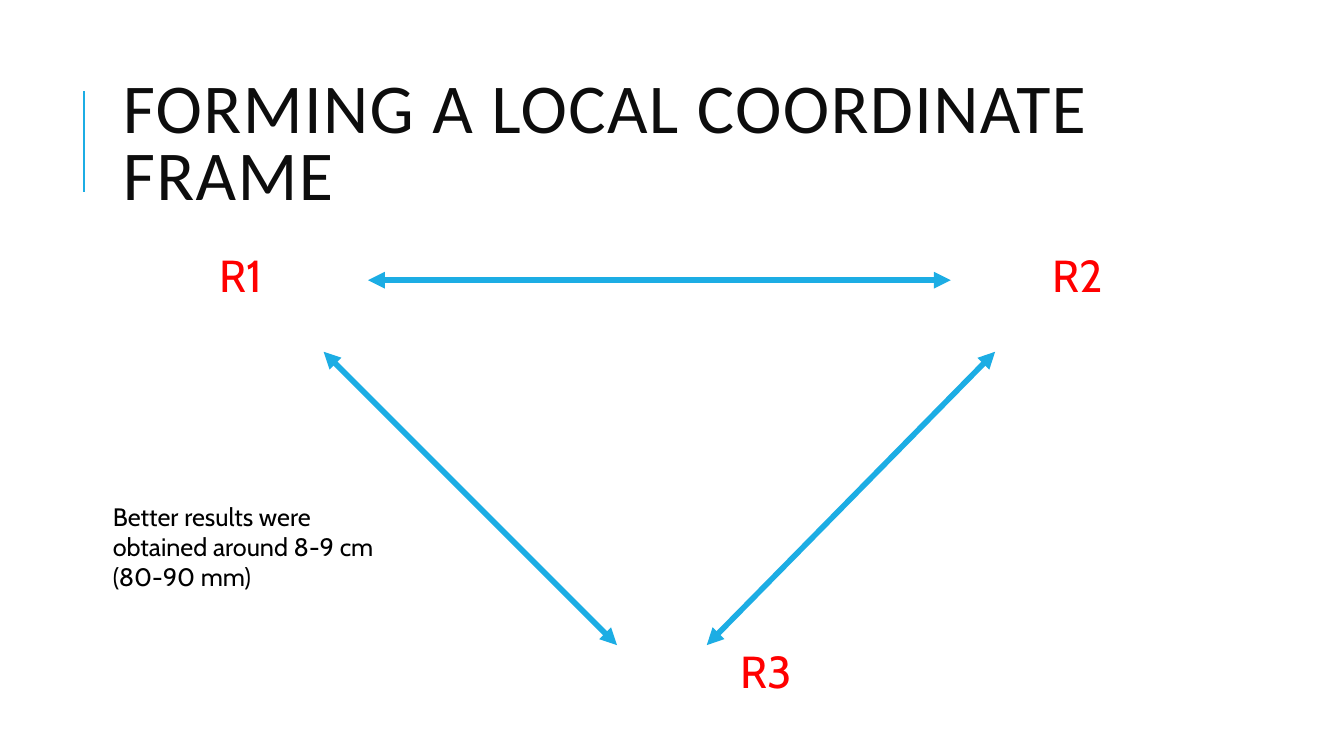
"""Build the slide on forming a local coordinate frame."""
from lxml import etree
from pptx import Presentation
from pptx.dml.color import RGBColor
from pptx.enum.shapes import MSO_CONNECTOR
from pptx.enum.text import MSO_ANCHOR
from pptx.oxml.ns import qn
from pptx.util import Pt

PX = 9144
LINE = MSO_CONNECTOR.STRAIGHT
TOP, MIDDLE = MSO_ANCHOR.TOP, MSO_ANCHOR.MIDDLE
COLORS = {"blue": "1CADE4", "title": "0D0D0D", "note": "000000", "label": "FF0000"}


def add_line(start, end, width, heads=()):
    line = slide.shapes.add_connector(LINE, *[v * PX for v in start + end])
    line.line.color.rgb = RGBColor.from_string(COLORS["blue"])
    line.line.width = Pt(width)
    props = line.line._get_or_add_ln()
    for head in heads:
        etree.SubElement(props, qn(head)).set("type", "triangle")
    etree.SubElement(line._element.spPr, qn("a:effectLst"))


def add_text(area, text, font, size, color, anchor=TOP):
    frame = slide.shapes.add_textbox(*[v * PX for v in area]).text_frame
    frame.word_wrap = True
    frame.vertical_anchor = anchor
    run = frame.paragraphs[0].add_run()
    run.text = text
    run.font.name = font
    run.font.size = Pt(size)
    run.font.color.rgb = RGBColor.from_string(COLORS[color])
    return frame.paragraphs[0]


deck = Presentation()
deck.slide_width, deck.slide_height = 1333 * PX, 750 * PX
slide = deck.slides.add_slide(deck.slide_layouts[6])

add_line((83, 190), (83, 90), 1.5)
title = add_text((112, 64, 1063, 164), "FORMING A LOCAL COORDINATE FRAME",
                 "Calibri", 50, "title", MIDDLE)
title.line_spacing = 0.8
title.runs[0]._r.get_or_add_rPr().set("spc", "100")

for start, end in [((321, 349), (612, 640)),
                   ((987, 349), (701, 640)),
                   ((365, 278), (943, 278))]:
    add_line(start, end, 4, ("a:headEnd", "a:tailEnd"))

add_text((102, 492, 281, 101), "Better results were obtained around 8-9 cm (80-90 mm)",
         "Cabin", 18, "note")
for name, left, top in [("R1", 208, 241), ("R2", 1034, 241), ("R3", 725, 634)]:
    add_text((left, top, 239, 64), name, "Cabin", 32, "label")

deck.save("out.pptx")
